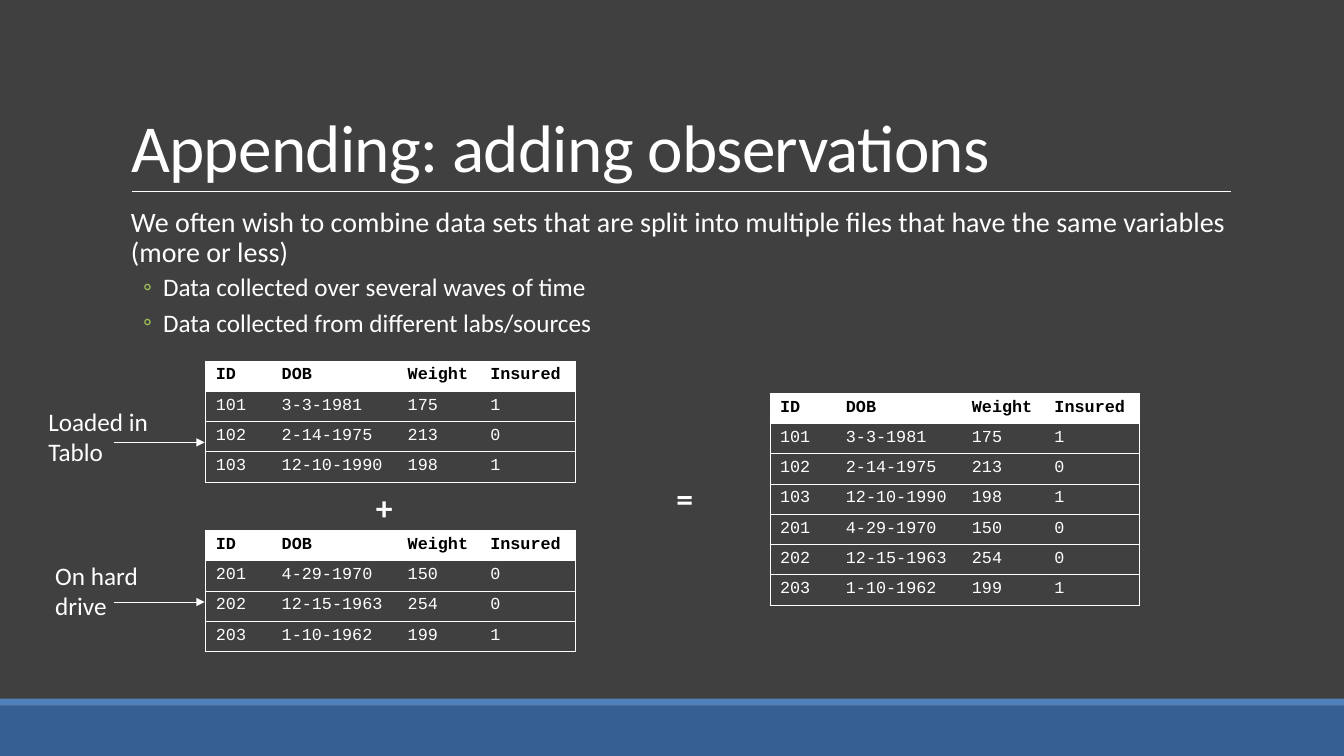
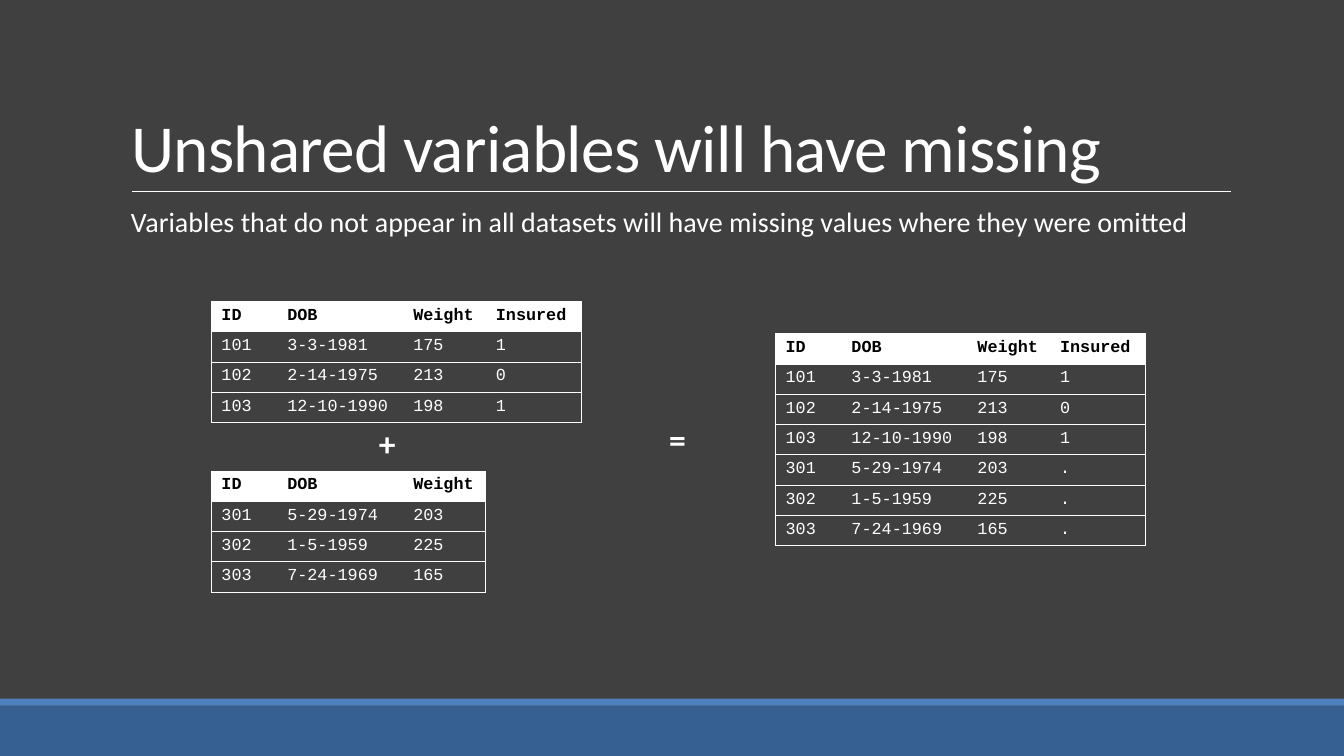
from lxml import etree
from pptx import Presentation
from pptx import util as u
from pptx.dml.color import RGBColor
from pptx.enum import shapes, text
from pptx.oxml import ns

Pt = u.Pt
COLOURS = {"ground": "404040", "band": "376092", "stripe": "4F81BD",
           "bullet": "9BBB59", "ink": "FFFFFF", "header": "000000"}
WIDTH, HEIGHT = 960, 540
COLUMNS = [47, 90, 59, 68]
ROW_HEIGHT = 20.7
NAMES = ["ID", "DOB", "Weight", "Insured"]


def colour(name):
    return RGBColor.from_string(COLOURS[name])


def add_xml(parent, tag, index=None, **attributes):
    """Add a drawing element at the end of its parent, or at an index."""
    child = etree.Element(ns.qn(tag), attributes)
    parent.insert(len(parent) if index is None else index, child)
    return child


class Pages:
    """The deck's style and the page being drawn."""

    def __init__(self):
        self.deck = Presentation()
        self.deck.slide_width, self.deck.slide_height = Pt(WIDTH), Pt(HEIGHT)
        fill = self.deck.slide_master.background.fill
        fill.solid()
        fill.fore_color.rgb = colour("ground")
        self.page = None

    def start(self, title):
        """Open a page with its bands, rule and title."""
        self.page = self.deck.slides.add_slide(self.deck.slide_layouts[5])
        self.band(504, 36, "band")
        self.band(499, 5, "stripe")
        self.line(94.5, 879, 136.8)
        self.title(title)

    def band(self, top, height, fill):
        band = self.page.shapes.add_shape(
            shapes.MSO_SHAPE.RECTANGLE, 0, Pt(top), Pt(WIDTH), Pt(height))
        band.shadow.inherit = False
        band.fill.solid()
        band.fill.fore_color.rgb = colour(fill)
        band.line.fill.background()

    def line(self, start, end, y, arrow=False):
        line = self.page.shapes.add_connector(
            shapes.MSO_CONNECTOR.STRAIGHT, Pt(start), Pt(y), Pt(end), Pt(y))
        line.line.color.rgb = colour("ink")
        line.line.width = Pt(0.5)
        outline = line.element.spPr.find(ns.qn("a:ln"))
        if arrow:
            add_xml(outline, "a:tailEnd", type="triangle")
        add_xml(line.element.spPr, "a:effectLst")

    def add_span(self, para, words, size, ink="ink", font="Calibri", bold=False, **spacing):
        """Put one formatted span in a paragraph."""
        for name, value in spacing.items():
            setattr(para, name, value)
        span = para.add_run()
        span.text = words
        style = {"name": font, "size": Pt(size), "bold": bold}
        for name, value in style.items():
            setattr(span.font, name, value)
        span.font.color.rgb = colour(ink)
        return span

    def title(self, words):
        box = self.page.shapes.title
        place = {"left": 86.4, "top": 22.3, "width": 792, "height": 114.5}
        for name, value in place.items():
            setattr(box, name, Pt(value))
        frame = box.text_frame
        frame.auto_size = text.MSO_AUTO_SIZE.NONE
        frame.vertical_anchor = text.MSO_ANCHOR.BOTTOM
        span = self.add_span(frame.paragraphs[0], words, 48, line_spacing=0.85,
                             alignment=text.PP_ALIGN.LEFT)
        span._r.get_or_add_rPr().set("spc", "-50")

    def box(self, left, top, width, height):
        box = self.page.shapes.add_textbox(Pt(left), Pt(top), Pt(width), Pt(height))
        box.text_frame.word_wrap = True
        return box.text_frame

    def label(self, left, top, words, width=90.7, height=51, size=18, bold=False):
        frame = self.box(left, top, width, height)
        self.add_span(frame.paragraphs[0], words, size, bold=bold)

    def sign(self, left, top, words):
        self.label(left, top, words, width=19.4, height=36, size=24, bold=True)

    def body(self, lead, points=()):
        """Set a lead sentence and its bullet points."""
        frame = self.box(86.4, 145.4, 792, 316.8)
        frame.margin_left = frame.margin_right = 0
        para = frame.paragraphs[0]
        self.add_span(para, lead, 20, line_spacing=0.9,
                      space_before=Pt(12), space_after=Pt(2))
        para._p.get_or_add_pPr().set("marL", str(Pt(7.2)))
        for point in points:
            para = frame.add_paragraph()
            self.add_span(para, point, 18, line_spacing=0.9,
                          space_before=Pt(2), space_after=Pt(4))
            layout = para._p.get_or_add_pPr()
            layout.set("marL", str(Pt(30.2)))
            layout.set("indent", str(Pt(-14.4)))
            tint = add_xml(layout, "a:buClr")
            add_xml(tint, "a:srgbClr", val=COLOURS["bullet"])
            add_xml(layout, "a:buFont", typeface="Calibri")
            add_xml(layout, "a:buChar", char="◦")

    def borders(self, cell, drawn):
        """Draw the named sides of a cell and clear the others."""
        for index, side in enumerate("LRTB"):
            edge = add_xml(cell._tc.get_or_add_tcPr(), "a:ln" + side, index,
                           w=str(Pt(0.5)))
            if side in drawn:
                add_xml(add_xml(edge, "a:solidFill"), "a:srgbClr", val=COLOURS["ink"])
            else:
                add_xml(edge, "a:noFill")

    def table(self, left, top, records):
        count = len(records[0])
        rows = [NAMES[:count]] + records
        table = self.page.shapes.add_table(
            len(rows), count, Pt(left), Pt(top), Pt(sum(COLUMNS[:count])),
            Pt(ROW_HEIGHT * len(rows))).table
        table.horz_banding = False
        for column, width in zip(table.columns, COLUMNS):
            column.width = Pt(width)
        for r, values in enumerate(rows):
            table.rows[r].height = Pt(ROW_HEIGHT)
            for c, value in enumerate(values):
                cell = table.cell(r, c)
                if r == 0:
                    cell.fill.solid()
                    cell.fill.fore_color.rgb = colour("ink")
                else:
                    cell.fill.background()
                self.add_span(cell.text_frame.paragraphs[0], value, 12,
                              ink="ink" if r else "header", font="Courier New",
                              bold=r == 0)
                self.borders(cell, "TB" + "L" * (c == 0) + "R" * (c == count - 1))

    def append_example(self, left, top, first, second):
        """Show two tables and the one made by stacking them."""
        self.table(left, top, first)
        self.table(left, top + 121, second)
        padded = [row + ["."] * (len(NAMES) - len(row)) for row in second]
        self.table(left + 403, top + 23, first + padded)


def main():
    pages = Pages()
    first_wave = [["101", "3-3-1981", "175", "1"],
                  ["102", "2-14-1975", "213", "0"],
                  ["103", "12-10-1990", "198", "1"]]

    # Appending tables with the same variables
    pages.start("Appending: adding observations")
    pages.body("We often wish to combine data sets that are split into multiple files "
               "that have the same variables (more or less)",
               ["Data collected over several waves of time",
                "Data collected from different labs/sources"])
    pages.append_example(147, 257.8, first_wave,
                         [["201", "4-29-1970", "150", "0"],
                          ["202", "12-15-1963", "254", "0"],
                          ["203", "1-10-1962", "199", "1"]])
    pages.label(27.4, 286.6, "Loaded in Tablo")
    pages.label(32.4, 396.7, "On hard drive")
    for y in (316, 430):
        pages.line(81.4, 146.2, y, arrow=True)
    pages.sign(476, 337.7, "=")
    pages.sign(261.4, 344.2, "+")

    # Appending tables with an unshared variable
    pages.start("Unshared variables will have missing")
    pages.body("Variables that do not appear in all datasets will have missing values "
               "where they were omitted")
    pages.append_example(151, 215.3, first_wave,
                         [["301", "5-29-1974", "203"],
                          ["302", "1-5-1959", "225"],
                          ["303", "7-24-1969", "165"]])
    pages.sign(263.5, 298.8, "+")
    pages.sign(470.9, 295.9, "=")

    pages.deck.save("out.pptx")


if __name__ == "__main__":
    main()
